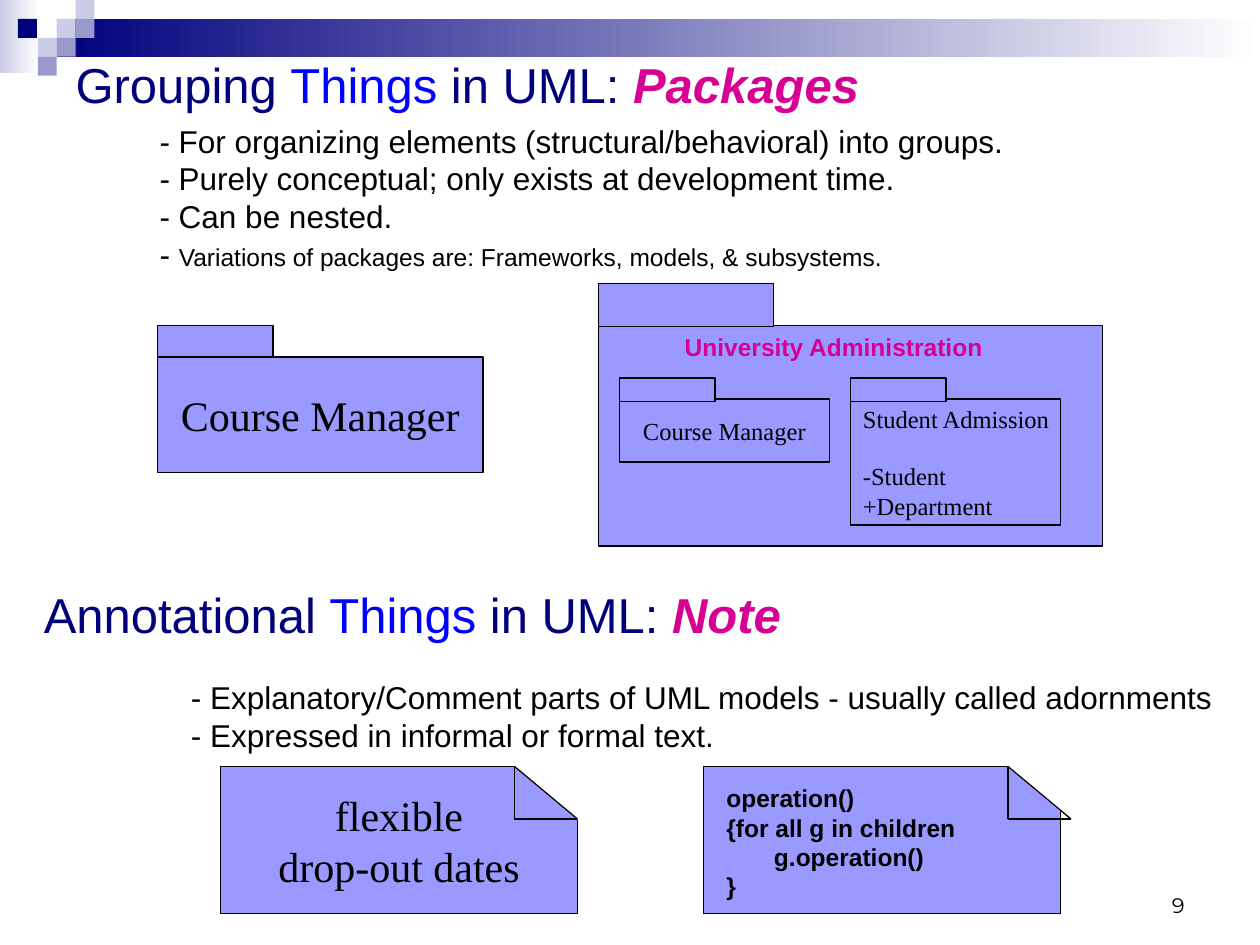
from dataclasses import dataclass
from lxml.etree import SubElement
from pptx import Presentation
from pptx.dml.color import RGBColor
from pptx.enum.shapes import MSO_CONNECTOR, MSO_SHAPE
from pptx.enum.text import MSO_ANCHOR, PP_ALIGN
from pptx.oxml.ns import qn
from pptx.util import Inches, Pt


@dataclass(frozen=True)
class Theme:
    """Colours, fonts and type sizes of the slide."""
    navy: str = "00007D"
    blue: str = "0000FF"
    pink: str = "D60093"
    box: str = "9999FF"
    pale: str = "CCCCE6"
    mid: str = "9999CC"
    black: str = "000000"
    white: str = "FFFFFF"
    sans: str = "Arial"
    serif: str = "Times New Roman"
    number: str = "Montserrat"
    head: int = 28
    large: int = 24
    body: int = 18
    small: int = 14
    tiny: int = 12
    line: float = 0.75


T = Theme()
CELL = 1 / 12
TILE = 0.15


def rgb(code):
    """Turn a hex code into a colour."""
    return RGBColor.from_string(code)


def grid(*cells):
    """Turn grid columns and rows into lengths."""
    return [Inches(cell * CELL) for cell in cells]


def write(shape, lines, size=T.body, font=T.sans, color=T.black, bold=None,
          align=PP_ALIGN.LEFT, anchor=MSO_ANCHOR.TOP, wrap=True, left=0.1, gaps=()):
    """Fill a shape with lines, each a string or a list of (text, format) runs."""
    frame = shape.text_frame
    frame.word_wrap, frame.vertical_anchor = wrap, anchor
    frame.margin_left, frame.margin_right = Inches(left), Inches(0.1)
    frame.margin_top = frame.margin_bottom = Inches(0.05)
    for i, line in enumerate(lines):
        para = frame.add_paragraph() if i else frame.paragraphs[0]
        para.alignment = align
        para.space_before = Pt(0)
        para.space_after = Pt(dict(gaps).get(i, 0))
        for words, look in [(line, {})] if isinstance(line, str) else line:
            run = para.add_run()
            run.text = words
            run.font.name = font
            run.font.size = Pt(look.get("size", size))
            run.font.bold = look.get("bold", bold)
            run.font.italic = look.get("italic")
            run.font.color.rgb = rgb(look.get("color", color))


def label(slide, place, lines, **look):
    """Add a text box on the grid."""
    write(slide.shapes.add_textbox(*grid(*place)), lines, **look)


def heading(first, last):
    """Give the runs of a section heading."""
    return [[(first + " ", {}), ("Things", {"color": T.blue}), (" in UML: ", {}),
             (last, {"color": T.pink, "bold": True, "italic": True})]]


def block(slide, place, lines=(), **look):
    """Add an outlined box on the grid, with text if given."""
    shape = slide.shapes.add_shape(MSO_SHAPE.RECTANGLE, *grid(*place))
    shape.shadow.inherit = False
    shape.fill.solid()
    shape.fill.fore_color.rgb = rgb(T.box)
    shape.line.color.rgb = rgb(T.black)
    shape.line.width = Pt(T.line)
    if lines:
        write(shape, lines, anchor=MSO_ANCHOR.MIDDLE, wrap=False, **look)


def package(slide, body, tab, lines=(), **look):
    """Add a package: a body and the tab on top of it."""
    block(slide, body, lines, **look)
    block(slide, tab)


def stroke(slide, *ends):
    """Add a thin black line between two grid points."""
    line = slide.shapes.add_connector(MSO_CONNECTOR.STRAIGHT, *grid(*ends))
    line.line.color.rgb = rgb(T.black)
    line.line.width = Pt(T.line)
    SubElement(line._element.spPr, qn("a:effectLst"))


def note(slide, left, fold, lines=(), **look):
    """Add a note whose top corner is folded at a given column."""
    top, wide, high = 73, 6, 5
    block(slide, (left, top, 34, 14), lines, **look)
    right, low = fold + wide, top + high
    pen = slide.shapes.build_freeform(*grid(fold, top), scale=1.0)
    pen.add_line_segments([grid(right, top), grid(right, low)], close=True)
    flap = pen.convert_to_shape()
    flap.shadow.inherit = False
    flap.fill.solid()
    flap.fill.fore_color.rgb = flap.line.color.rgb = rgb(T.white)
    flap.line.width = Pt(T.line)
    stroke(slide, fold, top, right, low)
    stroke(slide, fold, top, fold, low)
    stroke(slide, fold, low, right, low)


def patch(slide, place, color, fade=False):
    """Add a borderless rectangle, plain or fading to white."""
    shape = slide.shapes.add_shape(MSO_SHAPE.RECTANGLE, *map(Inches, place))
    shape.shadow.inherit = False
    shape.line.fill.background()
    if fade:
        shape.fill.gradient()
        shape.fill.gradient_angle = 0
        for stop, code in zip(shape.fill.gradient_stops, (color, T.white)):
            stop.color.rgb = rgb(code)
    else:
        shape.fill.solid()
        shape.fill.fore_color.rgb = rgb(color)


def banner(slide):
    """Add the fading bar and the tiles at the top."""
    patch(slide, (0, 0, 0.31, 0.58), T.pale, fade=True)
    patch(slide, (3 * TILE, TILE, 10 - 3 * TILE, 2 * TILE), T.navy, fade=True)
    tiles = [(3, 1, T.pale), (4, 0, T.pale), (4, 1, T.mid), (2, 2, T.pale),
             (0.95, 1, T.navy), (3, 2, T.mid), (2, 3, T.mid)]
    for col, row, color in tiles:
        patch(slide, (col * TILE, row * TILE, TILE, TILE), color)


def main():
    """Build the slide and save it."""
    deck = Presentation()
    deck.slide_width, deck.slide_height = Inches(10), Inches(7.5)
    slide = deck.slides.add_slide(deck.slide_layouts[5])
    banner(slide)

    title = slide.shapes.title
    title.left, title.top, title.width, title.height = grid(6, 4, 108, 8)
    look = dict(size=T.head, color=T.navy, anchor=MSO_ANCHOR.MIDDLE)
    write(title, heading("Grouping", "Packages"), **look)
    label(slide, (3, 54, 108, 9), heading("Annotational", "Note"), **look)

    label(slide, (2, 11, 115, 18.5), [
        "- For organizing elements (structural/behavioral) into groups.",
        "- Purely conceptual; only exists at development time.",
        "- Can be nested.",
        [("- ", {}), ("Variations of packages are: Frameworks, models, & subsystems.",
                      {"size": T.small})]], left=1.1)
    label(slide, (17, 64, 100, 8.4), [
        "- Explanatory/Comment parts of UML models - usually called adornments",
        "- Expressed in informal or formal text."])

    big = dict(size=T.large, font=T.serif, align=PP_ALIGN.CENTER)
    small = dict(size=T.small, font=T.serif)
    package(slide, (15, 34, 31, 11), (15, 31, 11, 3), ["Course Manager"], **big)
    package(slide, (57, 31, 48, 21), (57, 27, 16.7, 4.1))
    label(slide, (64, 31, 30.8, 4.1), ["University Administration"], size=T.small,
          color=T.pink, bold=True, align=PP_ALIGN.CENTER, wrap=False)
    package(slide, (59, 38, 20, 6), (59, 36, 9.1, 2.25), ["Course Manager"],
            align=PP_ALIGN.CENTER, **small)
    package(slide, (81, 38, 20, 12), (81, 36, 9.1, 2.25),
            ["Student Admission", "-Student", "+Department"], gaps={0: 16}, **small)

    note(slide, 21, 49, ["flexible", "drop-out dates"], **big)
    note(slide, 67, 96)
    label(slide, (68, 74, 28, 12.5),
          ["operation()", "{for all g in children", "       g.operation()", "}"],
          size=T.small, bold=True)
    label(slide, (86, 82, 28, 6), ["9"], size=T.tiny, font=T.number,
          align=PP_ALIGN.RIGHT, anchor=MSO_ANCHOR.BOTTOM)
    deck.save("out.pptx")


if __name__ == "__main__":
    main()
